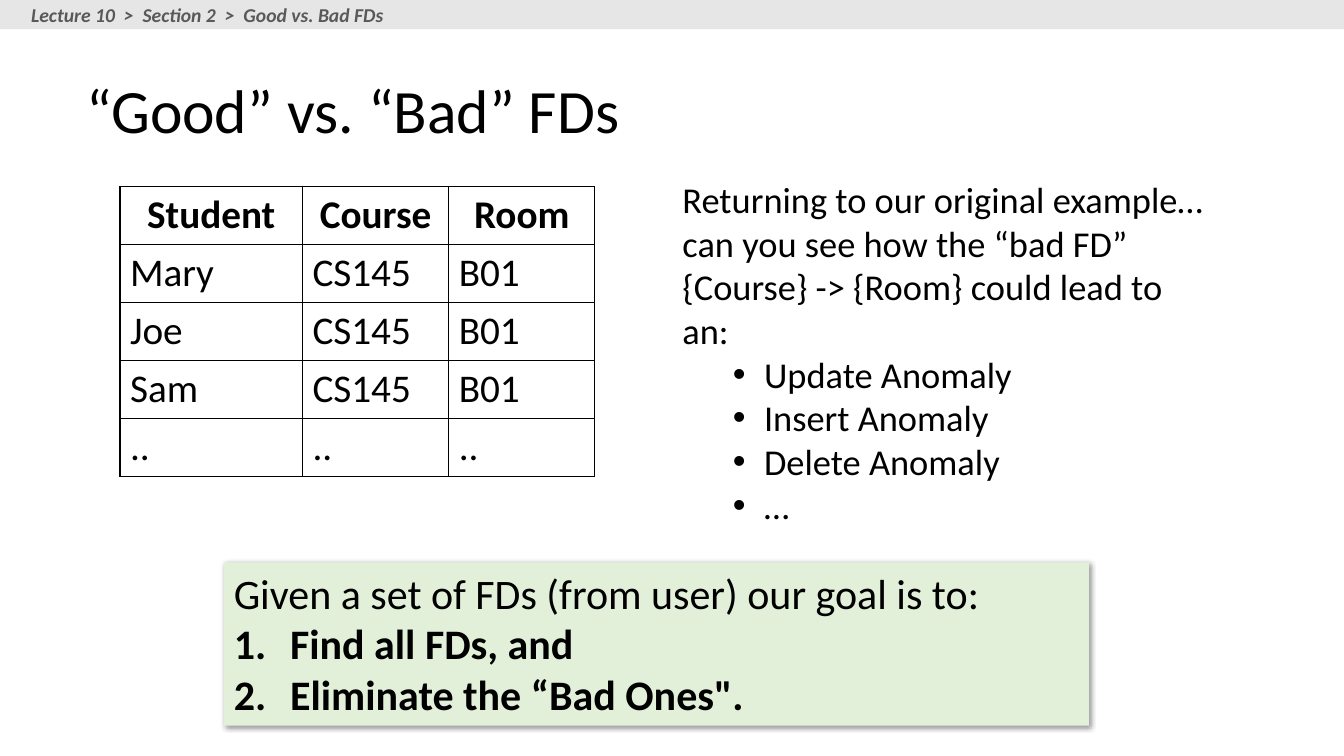
"""Build the slide on good and bad functional dependencies."""
from lxml.etree import SubElement
from pptx import Presentation
from pptx.dml.color import RGBColor
from pptx.enum.shapes import MSO_SHAPE
from pptx.enum.text import MSO_ANCHOR, PP_ALIGN
from pptx.oxml.ns import qn
from pptx.util import Inches, Pt

FONT = "Calibri"
BLACK, GREY, BAR, GREEN = "000000", "595959", "E7E6E6", "E2F0D9"
BREADCRUMB = "Lecture 10  >  Section 2  >  Good vs. Bad FDs"
TITLE = "“Good” vs. “Bad” FDs"
COLUMN_WIDTHS = [1.81, 1.45, 1.45]
ROW_HEIGHT = 0.575
ROWS = [
    ("Student", "Course", "Room"),
    ("Mary", "CS145", "B01"),
    ("Joe", "CS145", "B01"),
    ("Sam", "CS145", "B01"),
    ("..", "..", ".."),
]
QUESTION = ("Returning to our original example… can you see how the “bad FD” "
            "{Course} -> {Room} could lead to an:")
ANOMALIES = ["Update Anomaly", "Insert Anomaly", "Delete Anomaly", "…"]
GOAL = "Given a set of FDs (from user) our goal is to:"
STEPS = ["Find all FDs, and", "Eliminate the “Bad Ones\"."]


def color(value):
    return RGBColor.from_string(value)


def style(p, size, bold=False, italic=False, fill=BLACK):
    for r in p.runs:
        r.font.name, r.font.size = FONT, Pt(size)
        r.font.bold, r.font.italic = bold, italic
        r.font.color.rgb = color(fill)


def add_rect(s, box, fill):
    sp = s.shapes.add_shape(MSO_SHAPE.RECTANGLE, *map(Inches, box))
    sp.shadow.inherit = False
    sp.fill.solid()
    sp.fill.fore_color.rgb = color(fill)
    sp.line.fill.background()
    return sp


def add_text(s, box, wrap=True):
    tf = s.shapes.add_textbox(*map(Inches, box)).text_frame
    tf.word_wrap = wrap
    return tf


def add_list(tf, items, size, margin, indent, tag, attrs, bold=False):
    for item in items:
        p = tf.add_paragraph()
        p.text = item
        style(p, size, bold)
        pPr = p._p.get_or_add_pPr()
        pPr.set("marL", str(Inches(margin)))
        pPr.set("indent", str(Inches(-indent)))
        SubElement(pPr, qn("a:buFont"), typeface="Arial" if tag == "a:buChar" else FONT)
        SubElement(pPr, qn(tag), attrs)


def add_shadow(sp):
    effects = sp._element.spPr.find(qn("a:effectLst"))
    shadow = SubElement(effects, qn("a:outerShdw"), blurRad=str(Pt(4)), dist=str(Pt(1)),
                        dir="2700000", algn="tl", rotWithShape="0")
    SubElement(SubElement(shadow, qn("a:srgbClr"), val=BLACK), qn("a:alpha"), val="40000")


def add_borders(cell):
    tcPr = cell._tc.get_or_add_tcPr()
    for side in ("a:lnL", "a:lnR", "a:lnT", "a:lnB"):
        ln = SubElement(tcPr, qn(side), w=str(Pt(1)))
        SubElement(SubElement(ln, qn("a:solidFill")), qn("a:srgbClr"), val=BLACK)


def add_enrolment_table(s):
    box = (1.19, 1.85, sum(COLUMN_WIDTHS), ROW_HEIGHT * len(ROWS))
    table = s.shapes.add_table(len(ROWS), len(COLUMN_WIDTHS), *map(Inches, box)).table
    table.first_row = table.horz_banding = False
    for column, width in zip(table.columns, COLUMN_WIDTHS):
        column.width = Inches(width)
    for i, row in enumerate(ROWS):
        for j, text in enumerate(row):
            cell = table.cell(i, j)
            add_borders(cell)
            cell.fill.background()
            cell.text_frame.text = text
            p = cell.text_frame.paragraphs[0]
            p.alignment = PP_ALIGN.LEFT if i else PP_ALIGN.CENTER
            style(p, 28, bold=i == 0)


def main():
    prs = Presentation()
    prs.slide_width, prs.slide_height = Inches(13.33), Inches(7.5)
    s = prs.slides.add_slide(prs.slide_layouts[6])

    add_enrolment_table(s)

    goal = add_rect(s, (2.22, 5.58, 8.58, 1.62), GREEN)
    add_shadow(goal)
    tf = goal.text_frame
    tf.word_wrap, tf.vertical_anchor = True, MSO_ANCHOR.TOP
    tf.text = GOAL
    style(tf.paragraphs[0], 30)
    add_list(tf, STEPS, 30, 0.56, 0.56, "a:buAutoNum", {"type": "arabicPeriod"}, bold=True)
    for p in tf.paragraphs:
        p.alignment = PP_ALIGN.LEFT

    tf = add_text(s, (6.67, 1.71, 5.42, 3.6))
    tf.text = QUESTION
    style(tf.paragraphs[0], 26)
    add_list(tf, ANOMALIES, 26, 0.81, 0.31, "a:buChar", {"char": "•"})
    for p in tf.paragraphs[1:]:
        p.level = 1

    tf = add_text(s, (0.76, 0.4, 11.65, 1.45))
    tf.vertical_anchor = MSO_ANCHOR.MIDDLE
    tf.text = TITLE
    tf.paragraphs[0].line_spacing = 0.9
    style(tf.paragraphs[0], 44)

    add_rect(s, (0, 0, 13.33, 0.29), BAR)
    tf = add_text(s, (0.21, -0.02, 3.73, 0.34), wrap=False)
    tf.text = BREADCRUMB
    style(tf.paragraphs[0], 14, bold=True, italic=True, fill=GREY)

    prs.save("out.pptx")


if __name__ == "__main__":
    main()
